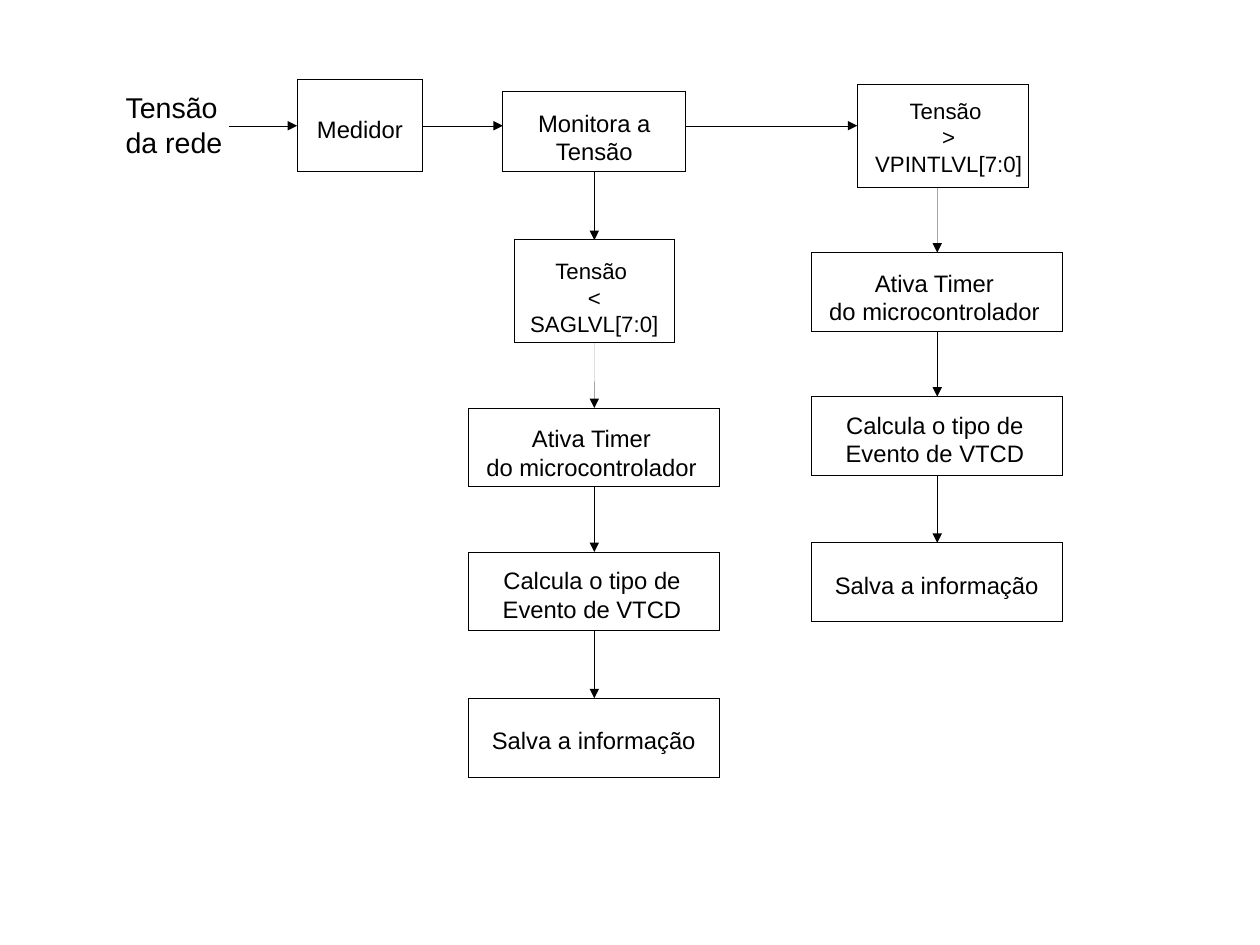
from pptx import Presentation
from pptx.dml.color import RGBColor
from pptx.enum.shapes import MSO_CONNECTOR as Connector, MSO_SHAPE as Shape
from pptx.enum.text import MSO_AUTO_SIZE as AutoSize, PP_ALIGN as Align
from pptx.oxml.ns import qn
from pptx.util import Inches, Pt
from lxml.etree import SubElement

BLACK = RGBColor.from_string("000000")
TOP, LEFT, BOTTOM, RIGHT = range(4)


def set_hairline(shape):
    """Drop the theme style, whose width would override zero, and draw a thin black line."""
    shape._element.remove(shape._element.find(qn("p:style")))
    shape.line.color.rgb = BLACK
    shape.line.width = Pt(0)


deck = Presentation()
# 28 by 21 centimetres
deck.slide_width, deck.slide_height = Inches(28 / 2.54), Inches(21 / 2.54)
slide = deck.slides.add_slide(deck.slide_layouts[6])

# Boxes: left, top, width, height
boxes = {
    "meter": (2.6, 0.7, 1.1, 0.8),
    "monitor": (4.4, 0.8, 1.6, 0.7),
    "sag": (4.5, 2.1, 1.4, 0.9),
    "swell": (7.5, 0.74, 1.5, 0.9),
}

# Labels: text, left, top, width, height, size, alignment, wrap
labels = [
    ("Tensão da rede", 1, 0.74, 1.1, 0.66, 18, Align.LEFT, True),
    ("Medidor", 2.5, 0.95, 1.3, 0.75, 15, Align.CENTER, True),
    ("Monitora a Tensão", 4.4, 0.9, 1.6, 0.9, 15, Align.CENTER, True),
    ("Tensão \n< SAGLVL[7:0]", 4.5, 2.2, 1.4, 0.75, 14, Align.CENTER, True),
    ("Tensão \n> VPINTLVL[7:0]", 7.5, 0.8, 1.6, 0.97, 14, Align.CENTER, True),
]

# Steps shared by both branches: name, drop, text, label inset x and y, label width, wrap
steps = [
    ("timer", 0, "Ativa Timer\ndo microcontrolador", 0.05, 0.09, 2.05, True),
    ("event", 1.26, "Calcula o tipo de\nEvento de VTCD", 0.2, 0.07, 1.76, False),
    ("save", 2.54, "Salva a informação", 0.1, 0.19, 1.99, False),
]

# Arrows: start box, start side, end box, end side, start point, end point
arrows = [
    (None, None, "meter", LEFT, (2, 1.1), (2.6, 1.1)),
    ("meter", RIGHT, None, None, (3.7, 1.1), (4.4, 1.1)),
    (None, None, None, None, (6, 1.1), (7.5, 1.1)),
    ("monitor", BOTTOM, "sag", TOP, (5.2, 1.5), (5.2, 2.1)),
]

for branch, left, first_top, axis, start in (
    ("sag", 4.1, 3.57, 5.2, 3.0),
    ("swell", 7.1, 2.21, 8.2, 1.64),
):
    # The swell box is not centred on its branch, so its arrow starts free
    previous = "sag" if branch == "sag" else None
    for step, drop, text, inset_x, inset_y, width, wrap in steps:
        name, top = f"{branch} {step}", first_top + drop
        boxes[name] = (left, top, 2.2, 0.69)
        labels.append((text, left + inset_x, top + inset_y, width, 0.56, 15, Align.CENTER, wrap))
        arrows.append((previous, BOTTOM, name, TOP, (axis, start), (axis, top)))
        previous, start = name, top + 0.69

drawn = {}
for name, place in boxes.items():
    box = slide.shapes.add_shape(Shape.RECTANGLE, *map(Inches, place))
    box.shadow.inherit = False
    box.fill.background()
    set_hairline(box)
    drawn[name] = box

for begin_box, begin_side, end_box, end_side, begin, end in arrows:
    arrow = slide.shapes.add_connector(Connector.STRAIGHT, *map(Inches, begin + end))
    if begin_box:
        arrow.begin_connect(drawn[begin_box], begin_side)
    if end_box:
        arrow.end_connect(drawn[end_box], end_side)
    set_hairline(arrow)
    SubElement(arrow.line._get_or_add_ln(), qn("a:tailEnd"), type="triangle")
    SubElement(arrow._element.spPr, qn("a:effectLst"))

for text, left, top, width, height, size, alignment, wrap in labels:
    label = slide.shapes.add_textbox(*map(Inches, (left, top, width, height)))
    frame = label.text_frame
    frame.text = text
    frame.word_wrap = wrap
    frame.auto_size = AutoSize.SHAPE_TO_FIT_TEXT
    for paragraph in frame.paragraphs:
        paragraph.alignment = alignment
        for run in paragraph.runs:
            run.font.name = "Arial"
            run.font.size = Pt(size)
            run.font.color.rgb = BLACK

deck.save("out.pptx")
